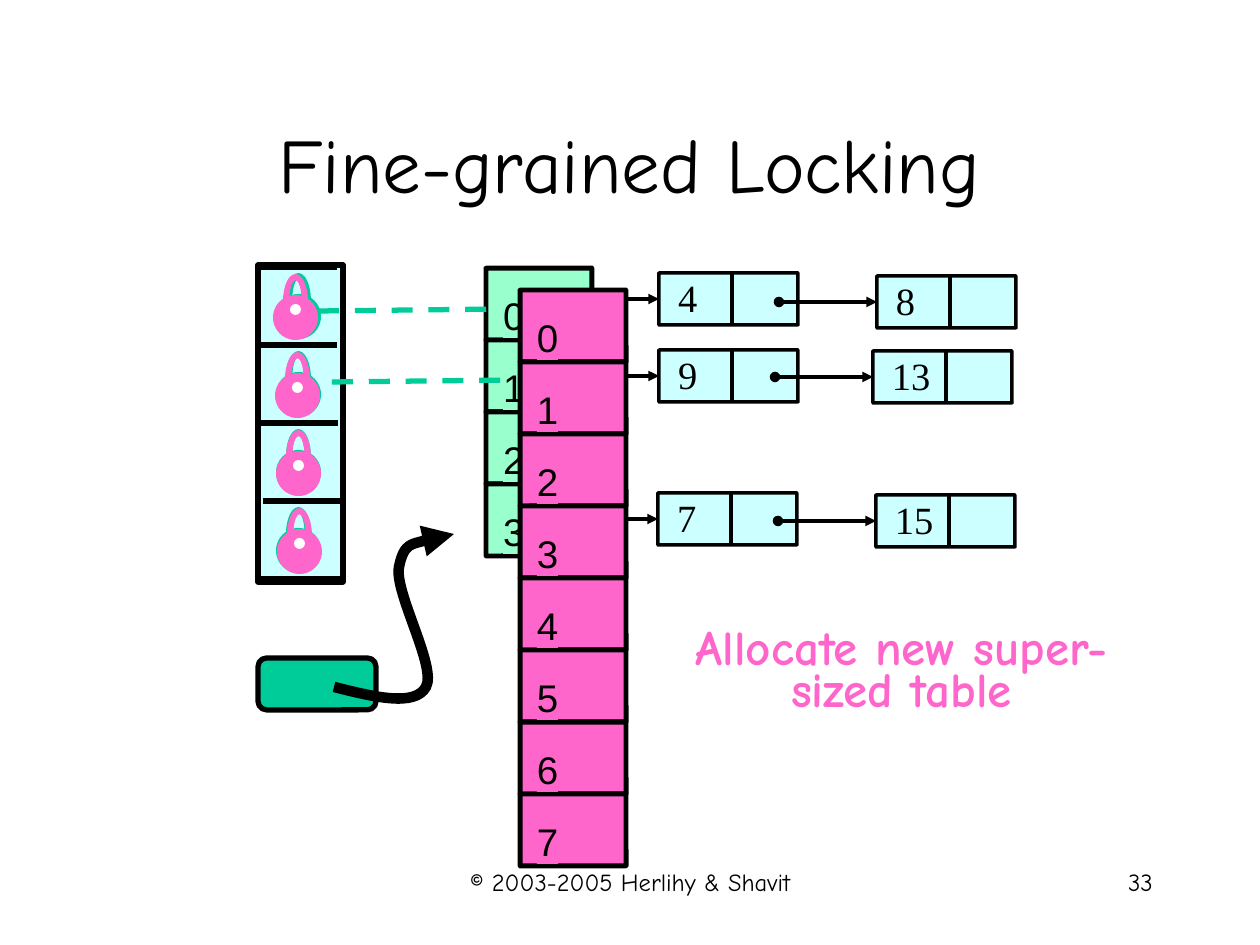
from dataclasses import dataclass
from lxml import etree
from pptx import Presentation
from pptx.dml.color import RGBColor
from pptx.enum.dml import MSO_LINE
from pptx.enum.shapes import MSO_CONNECTOR, MSO_SHAPE
from pptx.enum.text import MSO_ANCHOR, MSO_AUTO_SIZE, PP_ALIGN
from pptx.oxml.ns import qn
from pptx.util import Emu, Pt

STRAIGHT = MSO_CONNECTOR.STRAIGHT
RECT, ROUND, OVAL, ARC = (MSO_SHAPE.RECTANGLE, MSO_SHAPE.ROUNDED_RECTANGLE,
                          MSO_SHAPE.OVAL, MSO_SHAPE.BLOCK_ARC)
TOP, MIDDLE = MSO_ANCHOR.TOP, MSO_ANCHOR.MIDDLE
LEFT, CENTER, RIGHT = PP_ALIGN.LEFT, PP_ALIGN.CENTER, PP_ALIGN.RIGHT
FIT, FIXED = MSO_AUTO_SIZE.SHAPE_TO_FIT_TEXT, MSO_AUTO_SIZE.NONE
DASH = MSO_LINE.DASH
LEFT_SIDE = 1
SCALE = 914400 / 126


@dataclass(frozen=True)
class Theme:
    """Colours, fonts and sizes of the deck."""
    ink: str = "000000"
    paper: str = "FFFFFF"
    ice: str = "CCFFFF"
    mint: str = "99FFCC"
    green: str = "00CC99"
    pink: str = "FF66CC"
    hand: str = "Comic Neue"
    sans: str = "Arial"
    serif: str = "Times New Roman"
    title: int = 44
    callout: int = 28
    label: int = 22
    footer: int = 14
    thin: float = 2
    cell: float = 2.83
    thick: float = 3
    heavy: float = 6


def px(n):
    """Turn px into EMU."""
    return Emu(round(n * SCALE))


def rgb(color):
    """Turn a hex string into a colour."""
    return RGBColor.from_string(color)


def apply(target, **values):
    """Set each given attribute on the target."""
    for name, value in values.items():
        setattr(target, name, value)


class Deck:
    """Draws elements on the current slide in one style."""

    def __init__(self, prs, theme):
        self.theme = theme
        self.s = prs.slides.add_slide(prs.slide_layouts[5])

    def group(self):
        """Add a group and return its shapes."""
        return self.s.shapes.add_group_shape().shapes

    def paint(self, sp, fill=None, line=None, width=0):
        """Set fill and line, and drop the shadow."""
        sp.shadow.inherit = False
        if fill:
            sp.fill.solid()
            sp.fill.fore_color.rgb = rgb(fill)
        else:
            sp.fill.background()
        if line:
            self.stroke(sp, line, width)
        else:
            sp.line.fill.background()
        return sp

    def stroke(self, sp, color, width, dash=None, head=None, tail=None):
        """Set line colour, width, dash and arrowheads."""
        sp.line.color.rgb = rgb(color)
        apply(sp.line, width=Pt(width), dash_style=dash)
        ln = sp._element.spPr.find(qn("a:ln"))
        for tag, kind in (("a:headEnd", head), ("a:tailEnd", tail)):
            if kind:
                etree.SubElement(ln, qn(tag), type=kind)

    def shape(self, kind, box, fill, line=None, width=0, adj=None, shapes=None):
        """Add a preset shape."""
        sp = (shapes or self.s.shapes).add_shape(kind, *map(px, box))
        if adj is not None:
            sp.adjustments[0] = adj
        return self.paint(sp, fill, line, width)

    def line(self, start, end, color, width, target=None, **ends):
        """Add a straight line, joined to the target's left side if given."""
        sp = self.s.shapes.add_connector(STRAIGHT, *map(px, start + end))
        if target:
            sp.end_connect(target, LEFT_SIDE)
        self.stroke(sp, color, width, **ends)
        etree.SubElement(sp._element.spPr, qn("a:effectLst"))

    def polygon(self, points, fill, shapes):
        """Add a closed outline."""
        fb = shapes.build_freeform(*points[0], scale=SCALE)
        fb.add_line_segments(points[1:], close=True)
        return self.paint(fb.convert_to_shape(), fill)

    def curve(self, points, color, width):
        """Add an open Bézier curve with an arrowhead."""
        fb = self.s.shapes.build_freeform(*points[0], scale=SCALE)
        fb.add_line_segments(points[1:], close=False)
        sp = self.paint(fb.convert_to_shape())
        self.stroke(sp, color, width, tail="triangle")
        geometry = next(sp._element.iter(qn("a:pathLst")))[0]
        steps = geometry.findall(qn("a:lnTo"))
        for i in range(0, len(steps), 3):
            bezier = etree.SubElement(geometry, qn("a:cubicBezTo"))
            for step in steps[i:i + 3]:
                bezier.append(step[0])
                geometry.remove(step)

    def set_text(self, sp, text, size, font, color, align=LEFT, anchor=TOP,
                 inset=(12, 6), wrap=True, fit=FIXED, bold=False, **spacing):
        """Fill a shape with one formatted paragraph."""
        tf = sp.text_frame
        side, edge = map(px, inset)
        apply(tf, word_wrap=wrap, auto_size=fit, vertical_anchor=anchor,
              margin_left=side, margin_right=side, margin_top=edge, margin_bottom=edge)
        p = tf.paragraphs[0]
        apply(p, alignment=align, **spacing)
        r = p.add_run()
        r.text = text
        apply(r.font, name=font, size=Pt(size), bold=bold)
        r.font.color.rgb = rgb(color)

    def title(self, text, box):
        """Place and fill the title."""
        sp = self.s.shapes.title
        apply(sp, **dict(zip(("left", "top", "width", "height"), map(px, box))))
        self.set_text(sp, text, self.theme.title, self.theme.hand, self.theme.ink,
                      CENTER, MIDDLE)

    def text(self, text, box, size, font, color, **formats):
        """Add a text box."""
        sp = self.s.shapes.add_textbox(*map(px, box))
        self.set_text(sp, text, size, font, color, **formats)

    def lock(self, x, y, color):
        """Add a padlock with its body at x, y."""
        g, t = self.group(), self.theme
        self.shape(OVAL, (x, y, 45, 45), color, shapes=g)
        self.shape(OVAL, (x + 17, y + 9, 11, 11), t.paper, shapes=g)
        self.polygon([(x + 16, y + 34), (x + 29, y + 34), (x + 26, y + 17), (x + 20, y + 17)],
                     t.paper, g)
        self.shape(ARC, (x + 10, y - 21, 25, 55), color, shapes=g)

    def table_column(self, x, y, count, color):
        """Add a column of numbered buckets."""
        g, t = self.group(), self.theme
        tops = [y + 72 * i for i in range(count)]
        for top in tops:
            self.shape(ROUND, (x, top, 106, 72), color, t.ink, t.cell, 0.003, g)
        for i, top in enumerate(tops):
            sp = self.shape(RECT, (x + 17, top + 17, 21, 53), color, shapes=g)
            self.set_text(sp, str(i), t.label, t.sans, t.ink, inset=(0, 0),
                          wrap=False, fit=FIT, line_spacing=1.15)

    def node(self, x, y, text):
        """Add a list node with the arrow that leads to it."""
        t = self.theme
        sp = self.shape(ROUND, (x, y, 139, 52), t.ice, t.ink, t.thin, 0.004)
        self.line((x + 73, y + 1), (x + 73, y + 51), t.ink, t.thin)
        self.text(text, (x + 8, y - 5, 22 + 20 * len(text), 58), t.label, t.serif, t.ink,
                  inset=(11, 6), wrap=False, fit=FIT)
        self.line((x - 98, y + 26), (x, y + 26), t.ink, t.thin, sp, head="oval", tail="triangle")


def main():
    """Build the slide and save it."""
    prs = Presentation()
    apply(prs, slide_width=px(1260), slide_height=px(945))
    t = Theme()
    deck = Deck(prs, t)
    deck.title("Fine-grained Locking", (94, 84, 1071, 158))

    deck.shape(RECT, (258, 265, 85, 317), t.ice, t.ink, t.thick)
    for i in range(4):
        deck.lock(276, 294 + 78 * i, t.green)
    for i, x in enumerate((257, 257, 258, 263, 260)):
        deck.line((x, 267 + 78 * i), (x + 80, 267 + 78 * i), t.ink, t.thick)

    deck.table_column(486, 268, 4, t.mint)
    for x, y, text in ((659, 273, "4"), (877, 276, "8"), (659, 350, "9"),
                       (873, 351, "13"), (658, 493, "7"), (876, 495, "15")):
        deck.node(x, y, text)
    for x, y in ((318, 311), (332, 382)):
        deck.line((x, y), (x + 184, y - 2), t.green, t.thick, dash=DASH)
    deck.table_column(520, 290, 8, t.pink)

    deck.shape(ROUND, (258, 658, 118, 52), t.green, t.ink, t.thick, 0.167)
    deck.curve([(334, 687), (374, 697), (415, 707), (426, 687), (437, 667),
                (394, 592), (399, 567), (404, 542), (430, 538), (454, 534)], t.ink, t.heavy)
    for i, x in enumerate((273, 275, 276, 277)):
        deck.lock(x, 295 + 78 * i, t.pink)

    deck.text("Allocate new super-sized table", (662, 627, 479, 96), t.callout, t.hand, t.pink,
              align=CENTER, fit=FIT, bold=True, line_spacing=0.7, space_before=Pt(10.5))
    deck.text("© 2003-2005 Herlihy & Shavit", (431, 861, 399, 63), t.footer, t.hand, t.ink,
              align=CENTER)
    deck.text("33", (903, 861, 262, 63), t.footer, t.hand, t.ink, align=RIGHT)
    prs.save("out.pptx")


if __name__ == "__main__":
    main()
